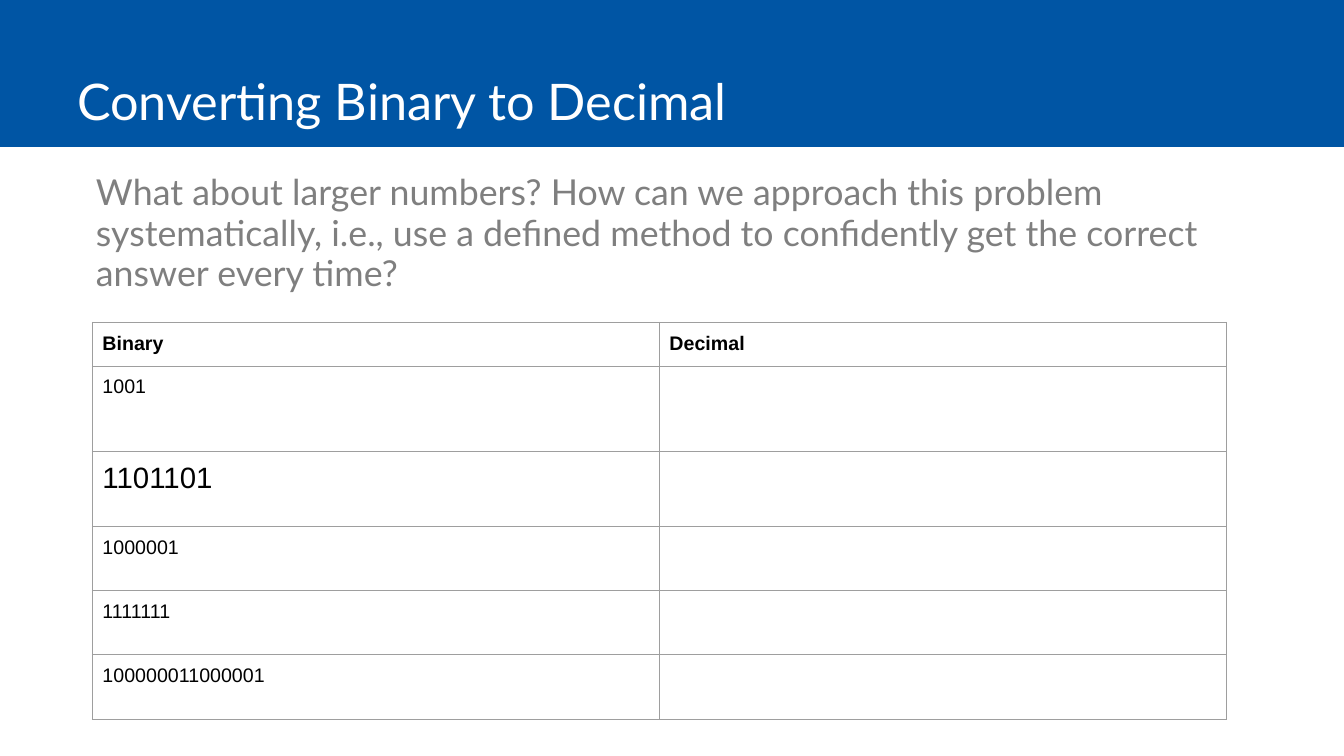
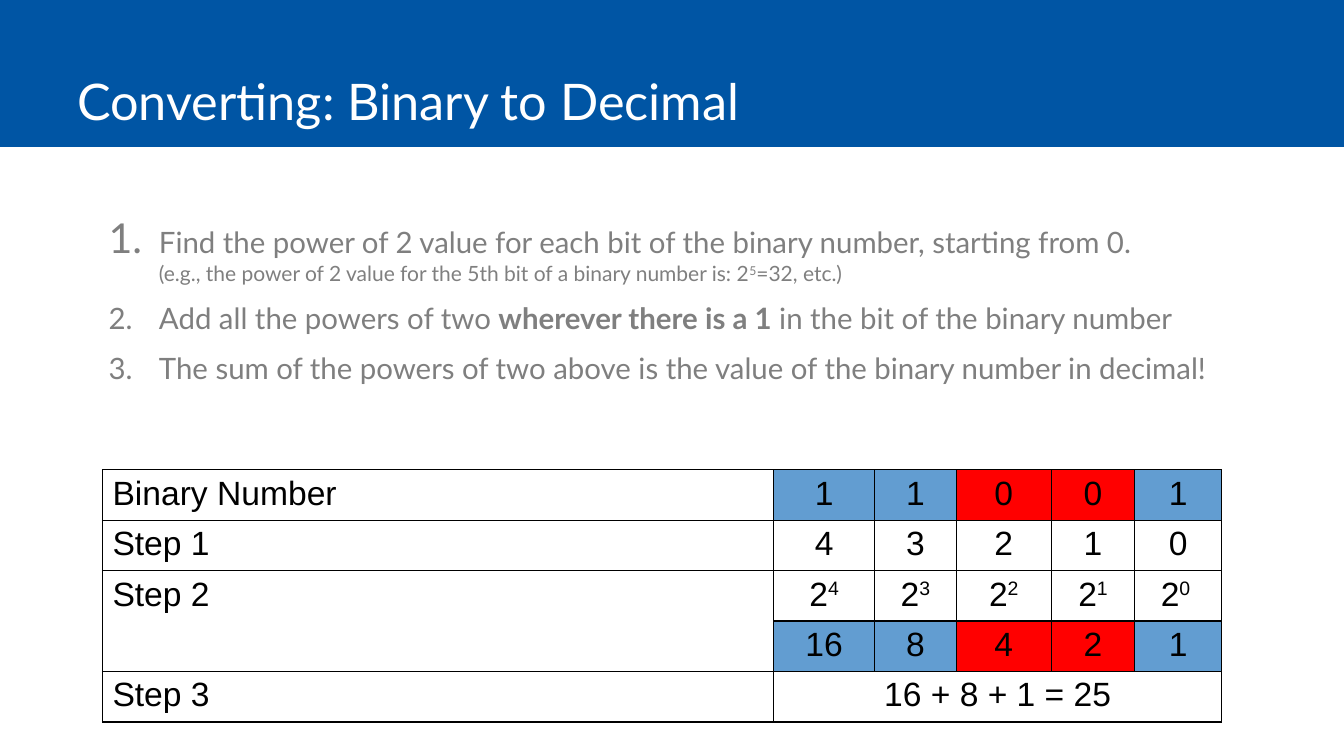
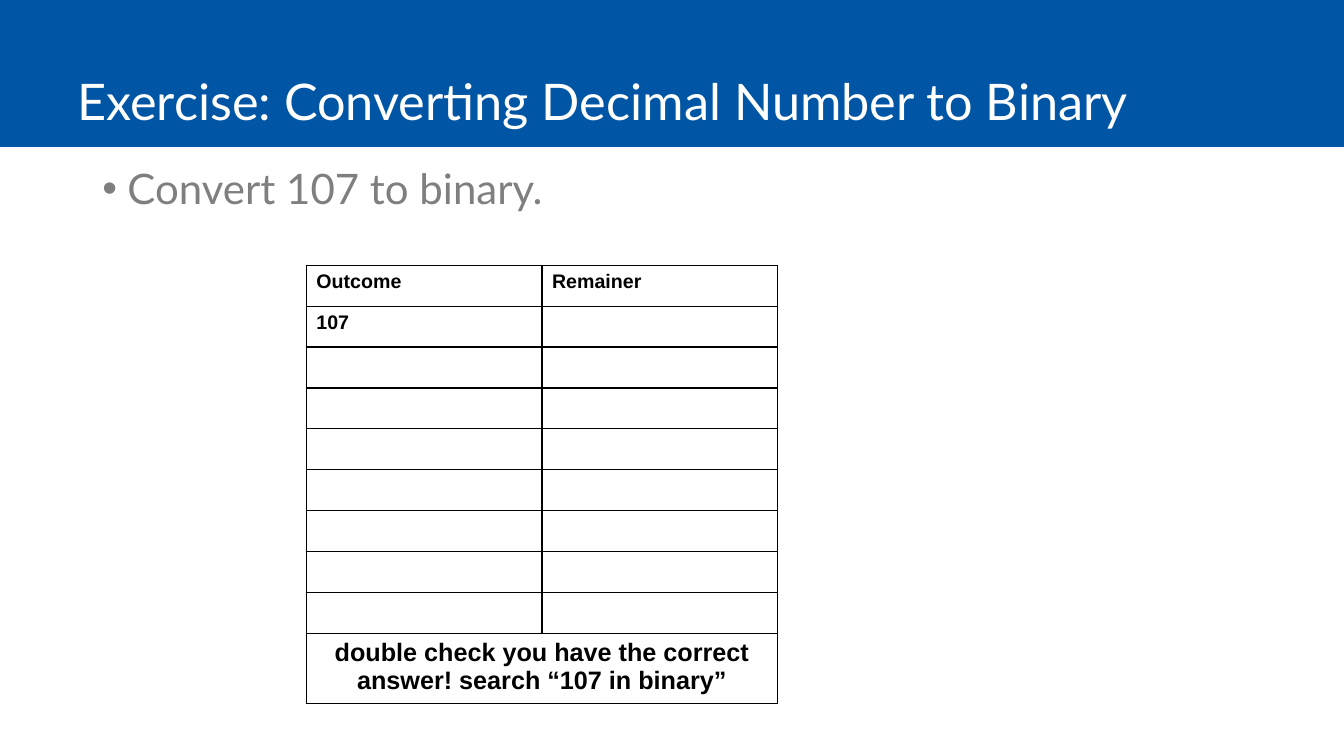
from lxml.etree import SubElement
from pptx import Presentation
from pptx.dml.color import RGBColor
from pptx.enum.shapes import MSO_SHAPE
from pptx.enum.text import MSO_ANCHOR, PP_ALIGN
from pptx.oxml.ns import qn
from pptx.util import Pt

SLIDE_WIDTH, SLIDE_HEIGHT = 960, 540
BAND_HEIGHT = 105
BLUE, WHITE, GRAY, BLACK = "0055A4", "FFFFFF", "7F7F7F", "000000"
BIT_FILLS = {"1": "629DD1", "0": "FF0000"}
BODY = {"font": "Lato", "color": GRAY}


def rgb(value):
    return RGBColor.from_string(value)


def write(paragraph, text, size=14, font="Arial", color=BLACK, bold=False, raised=False):
    """Add one run; raised makes it superscript."""
    run = paragraph.add_run()
    run.text = text
    run.font.size = Pt(size)
    run.font.name = font
    run.font.color.rgb = rgb(color)
    run.font.bold = bold
    if raised:
        run.font._element.set("baseline", "30000")


def add_text_box(slide, left, top, width, height, anchor=MSO_ANCHOR.TOP):
    box = slide.shapes.add_textbox(Pt(left), Pt(top), Pt(width), Pt(height))
    frame = box.text_frame
    frame.word_wrap = True
    frame.vertical_anchor = anchor
    return frame


def set_bullet(paragraph, indent, character=None, percent=100):
    """Give a hanging bullet; without a character the paragraph is numbered."""
    properties = paragraph._p.get_or_add_pPr()
    properties.set("marL", str(Pt(indent[0])))
    properties.set("indent", str(Pt(indent[1])))
    color = SubElement(properties, qn("a:buClr"))
    SubElement(color, qn("a:srgbClr"), val=GRAY)
    SubElement(properties, qn("a:buSzPct"), val=str(percent * 1000))
    if character:
        SubElement(properties, qn("a:buFont"), typeface="Arial")
        SubElement(properties, qn("a:buChar"), char=character)
    else:
        SubElement(properties, qn("a:buAutoNum"), type="arabicPeriod")


def set_borders(cell, color, width):
    properties = cell._tc.get_or_add_tcPr()
    for side in ("lnL", "lnR", "lnT", "lnB"):
        line = SubElement(properties, qn(f"a:{side}"), w=str(Pt(width)))
        fill = SubElement(line, qn("a:solidFill"))
        SubElement(fill, qn("a:srgbClr"), val=color)


def add_grid(slide, left, top, widths, heights, border=BLACK, border_width=1, margin=3.6):
    """Add an empty table with bordered, unfilled cells."""
    frame = slide.shapes.add_table(len(heights), len(widths), Pt(left), Pt(top),
                                   Pt(sum(widths)), Pt(sum(heights)))
    table = frame.table
    table.first_row = table.horz_banding = False
    for column, width in zip(table.columns, widths):
        column.width = Pt(width)
    for row, height in zip(table.rows, heights):
        row.height = Pt(height)
    for cell in table.iter_cells():
        set_borders(cell, border, border_width)
        cell.fill.background()
        cell.margin_top = cell.margin_bottom = Pt(margin)
    return table


def fill_cell(cell, text, power="", fill=None, centered=False, **text_format):
    paragraph = cell.text_frame.paragraphs[0]
    write(paragraph, text, **text_format)
    if power:
        write(paragraph, power, raised=True, **text_format)
    if centered:
        paragraph.alignment = PP_ALIGN.CENTER
    if fill:
        cell.fill.solid()
        cell.fill.fore_color.rgb = rgb(fill)


def add_titled_slide(presentation, title):
    slide = presentation.slides.add_slide(presentation.slide_layouts[6])
    band = slide.shapes.add_shape(MSO_SHAPE.RECTANGLE, 0, 0, Pt(SLIDE_WIDTH), Pt(BAND_HEIGHT))
    band.shadow.inherit = False
    band.fill.solid()
    band.fill.fore_color.rgb = rgb(BLUE)
    band.line.fill.background()
    frame = add_text_box(slide, 48, 0, 846, 96.5, MSO_ANCHOR.BOTTOM)
    write(frame.paragraphs[0], title, size=36, font="Lato", color=WHITE)
    return slide


def build_question_slide(presentation):
    slide = add_titled_slide(presentation, "Converting Binary to Decimal")
    question = add_text_box(slide, 61.5, 120, 828, 96.5).paragraphs[0]
    question.line_spacing = 0.95
    write(question, "What about larger numbers? How can we approach this problem "
          "systematically, i.e., use a defined method to confidently get the correct "
          "answer every time?", size=25.5, **BODY)

    table = add_grid(slide, 66, 230.2, [405, 405], [30.2, 61.2, 53.6, 45.8, 45.8, 46.2],
                     border="9E9E9E", border_width=0.75, margin=7.2)
    for column, heading in enumerate(["Binary", "Decimal"]):
        fill_cell(table.cell(0, column), heading, bold=True)
    numbers = ["1001", "1101101", "1000001", "1111111", "100000011000001"]
    for row, number in enumerate(numbers, start=1):
        fill_cell(table.cell(row, 0), number, size=21 if number == "1101101" else 14)


def add_steps(slide):
    frame = add_text_box(slide, 66, 155.5, 828, 163.5)
    steps = [
        [("Find the power of 2 value for each bit of the binary number, starting from 0.", {}),
         ("\n", {}),
         ("(e.g., the power of 2 value for the 5th bit of a binary number is: 2", {"size": 15}),
         ("5", {"size": 15, "raised": True}),
         ("=32, etc.)", {"size": 15})],
        [("Add all the powers of two ", {}),
         ("wherever there is a 1", {"bold": True}),
         (" in the bit of the binary number", {})],
        [("The sum of the powers of two above is the value of the binary number in decimal!", {})],
    ]
    for index, runs in enumerate(steps):
        paragraph = frame.add_paragraph() if index else frame.paragraphs[0]
        set_bullet(paragraph, (40.5, -36), percent=100 if index else 140)
        paragraph.line_spacing = 1.05
        paragraph.space_before = Pt(9 if index else 0)
        for text, changes in runs:
            if text == "\n":
                paragraph.add_line_break()
            else:
                write(paragraph, text, **{"size": 21, **BODY, **changes})


def build_method_slide(presentation):
    slide = add_titled_slide(presentation, "Converting: Binary to Decimal")
    add_steps(slide)

    table = add_grid(slide, 73.2, 335.5, [479.5, 72, 58.5, 67.7, 59.8, 62], [34] * 5)
    table.cell(2, 0).merge(table.cell(3, 0))
    table.cell(4, 1).merge(table.cell(4, 5))
    labels = {0: "Binary Number", 1: "Step 1", 2: "Step 2", 4: "Step 3"}
    for row, label in labels.items():
        fill_cell(table.cell(row, 0), label, size=24)

    centered = {"size": 24, "centered": True}
    for column, bit in enumerate("11001", start=1):
        power = 5 - column
        fill = BIT_FILLS[bit]
        fill_cell(table.cell(0, column), bit, fill=fill, **centered)
        fill_cell(table.cell(1, column), str(power), **centered)
        fill_cell(table.cell(2, column), "2", power=str(power) if power else "0 ", **centered)
        fill_cell(table.cell(3, column), str(2 ** power), fill=fill, **centered)
    fill_cell(table.cell(4, 1), "16 + 8 + 1 = 25", **centered)


def build_exercise_slide(presentation):
    slide = add_titled_slide(presentation, "Exercise: Converting Decimal Number to Binary")
    task = add_text_box(slide, 66, 116.5, 828, 369.5).paragraphs[0]
    set_bullet(task, (18, -18), character="•")
    task.line_spacing = 0.9
    write(task, "Convert 107 to binary.", size=30, **BODY)

    table = add_grid(slide, 218.8, 189.5, [168.3, 168.3], [29.2] * 9 + [47.4])
    table.cell(9, 0).merge(table.cell(9, 1))
    fill_cell(table.cell(0, 0), "Outcome", bold=True)
    fill_cell(table.cell(0, 1), "Remainer", bold=True)
    fill_cell(table.cell(1, 0), "107", bold=True)
    fill_cell(table.cell(9, 0), "double check you have the correct answer! search “107 in binary”",
              size=18, bold=True, centered=True)


def main():
    presentation = Presentation()
    presentation.slide_width = Pt(SLIDE_WIDTH)
    presentation.slide_height = Pt(SLIDE_HEIGHT)
    build_question_slide(presentation)
    build_method_slide(presentation)
    build_exercise_slide(presentation)
    presentation.save("out.pptx")


if __name__ == "__main__":
    main()
